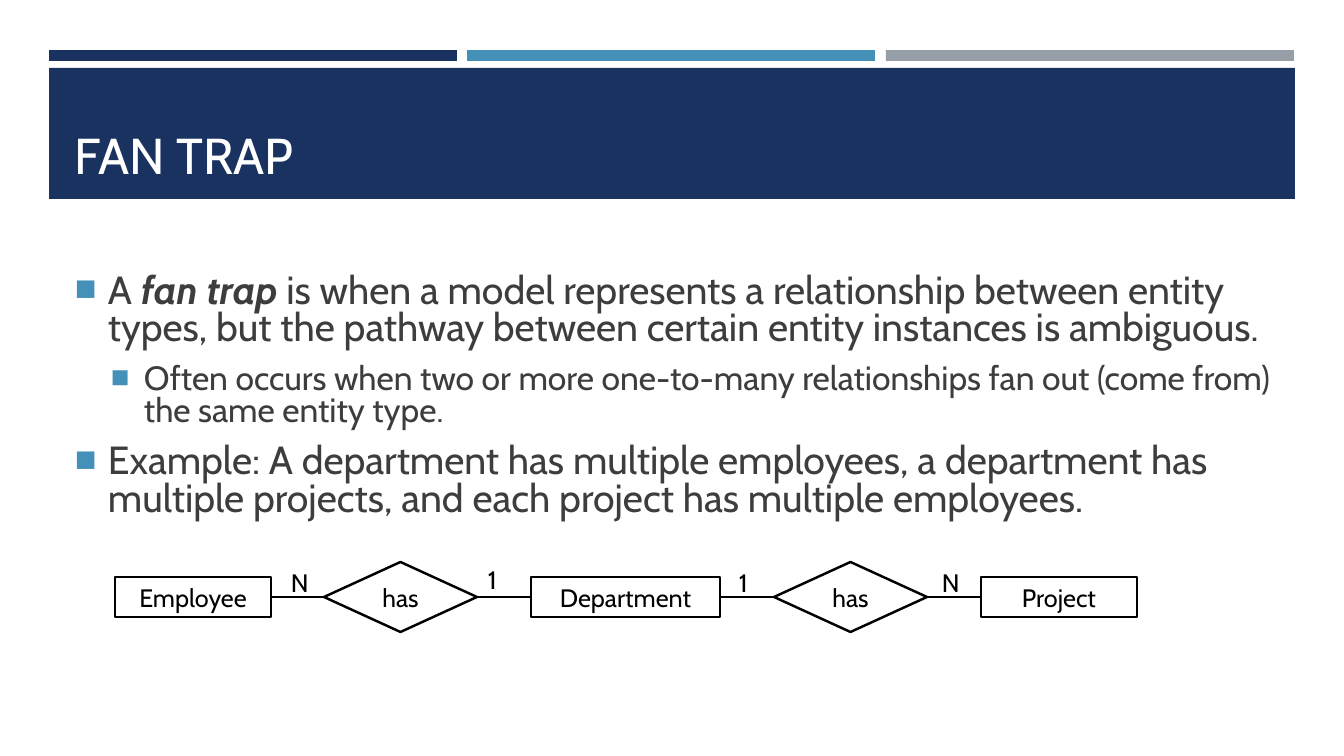
import dataclasses

import lxml.etree
import pptx
import pptx.dml.color
import pptx.enum.shapes
import pptx.enum.text
import pptx.oxml.ns
import pptx.util

EMU_PER_PIXEL = 914400 / 100.8
SHAPES = pptx.enum.shapes.MSO_SHAPE
ALIGN = pptx.enum.text.PP_ALIGN
ANCHOR = pptx.enum.text.MSO_ANCHOR


@dataclasses.dataclass(frozen=True)
class Theme:
    """Colours, font and type sizes of the slide."""
    navy: str = "1A3260"
    blue: str = "4590B8"
    gray: str = "969FA7"
    white: str = "FFFFFF"
    black: str = "000000"
    body: str = "3D3D3D"
    font: str = "Cabin"
    title_size: int = 36
    body_sizes: tuple = (28, 24)
    diagram_size: int = 18
    outline: float = 1.75
    connector: float = 1


def px(pixels):
    """Turn pixels into EMU."""
    return pptx.util.Emu(round(pixels * EMU_PER_PIXEL))


def rgb(colour):
    """Turn a hex string into a colour."""
    return pptx.dml.color.RGBColor.from_string(colour)


def add_child(parent, tag, **attributes):
    """Append a DrawingML element to a parent element."""
    return lxml.etree.SubElement(parent, pptx.oxml.ns.qn(tag), attributes)


class SlideBuilder:
    """Draws styled elements on one slide."""

    def __init__(self, slide, theme):
        """Keep the slide and its theme."""
        self.slide = slide
        self.theme = theme

    def run(self, paragraph, text, size, colour, emphasis=False):
        """Add one styled run to a paragraph."""
        run = paragraph.add_run()
        run.text = text
        run.font.name = self.theme.font
        run.font.size = pptx.util.Pt(size)
        run.font.color.rgb = rgb(colour)
        run.font.bold = run.font.italic = emphasis

    def shape(self, kind, left, top, width, height, fill, text=None):
        """Add a plain block, or an outlined diagram shape when text is given."""
        shape = self.slide.shapes.add_shape(
            kind, px(left), px(top), px(width), px(height))
        shape.shadow.inherit = False
        shape.fill.solid()
        shape.fill.fore_color.rgb = rgb(fill)
        if text is None:
            shape.line.fill.background()
            return
        shape.line.color.rgb = rgb(self.theme.black)
        shape.line.width = pptx.util.Pt(self.theme.outline)
        shape.text_frame.vertical_anchor = ANCHOR.MIDDLE
        paragraph = shape.text_frame.paragraphs[0]
        paragraph.alignment = ALIGN.CENTER
        self.run(paragraph, text, self.theme.diagram_size, self.theme.black)

    def text_frame(self, left, top, width, height, anchor=ANCHOR.TOP, wrap=True):
        """Add a text box and return its frame."""
        box = self.slide.shapes.add_textbox(
            px(left), px(top), px(width), px(height))
        box.text_frame.word_wrap = wrap
        box.text_frame.vertical_anchor = anchor
        return box.text_frame

    def title(self, text, left, top, width, height):
        """Add the slide title, resting on the bottom of its box."""
        frame = self.text_frame(left, top, width, height, ANCHOR.BOTTOM)
        self.run(frame.paragraphs[0], text, self.theme.title_size, self.theme.white)

    def bullet(self, paragraph, level):
        """Give a paragraph its indent and square bullet."""
        paragraph.level = level
        properties = paragraph._p.get_or_add_pPr()
        properties.set("marL", str(px(33 + 36 * level)))
        properties.set("indent", str(px(-33)))
        colour = add_child(properties, "a:buClr")
        add_child(colour, "a:srgbClr", val=self.theme.blue)
        add_child(properties, "a:buSzPct", val="92000")
        add_child(properties, "a:buFont", typeface="Arial")
        add_child(properties, "a:buChar", char="■")

    def bullets(self, items, left, top, width, height, inset):
        """Add the list; each item is a level and its (text, emphasis) runs."""
        frame = self.text_frame(left, top, width, height)
        frame.margin_top = px(inset)
        for index, (level, runs) in enumerate(items):
            paragraph = frame.add_paragraph() if index else frame.paragraphs[0]
            paragraph.line_spacing = 0.8
            paragraph.space_before = pptx.util.Pt(5 if index else 0)
            paragraph.space_after = pptx.util.Pt(6)
            self.bullet(paragraph, level)
            for text, emphasis in runs:
                self.run(paragraph, text, self.theme.body_sizes[level],
                         self.theme.body, emphasis)

    def label(self, text, left, top, width, height):
        """Add a cardinality label."""
        frame = self.text_frame(left, top, width, height, wrap=False)
        self.run(frame.paragraphs[0], text, self.theme.diagram_size, self.theme.black)

    def connector(self, start, end, y):
        """Add a horizontal connecting line."""
        line = self.slide.shapes.add_connector(
            pptx.enum.shapes.MSO_CONNECTOR.STRAIGHT,
            px(start), px(y), px(end), px(y))
        line.line.color.rgb = rgb(self.theme.black)
        line.line.width = pptx.util.Pt(self.theme.connector)
        add_child(line._element.spPr, "a:effectLst")


def draw_header(builder):
    """Draw the three accent bars, the banner and the title."""
    theme = builder.theme
    for index, colour in enumerate((theme.navy, theme.blue, theme.gray)):
        builder.shape(SHAPES.RECTANGLE, 49 + 837 * index // 2, 50, 408, 11, colour)
    builder.shape(SHAPES.RECTANGLE, 49, 68, 1246, 131, theme.navy)
    builder.title("FAN TRAP", 65, 78, 1216, 112)


def draw_diagram(builder):
    """Draw entities joined by relationship diamonds and their cardinalities."""
    middle, diamond_width, diamond_height, entity_height = 597, 153, 70, 40
    white = builder.theme.white
    entities = [("Employee", 115, 156), ("Department", 531, 189), ("Project", 981, 156)]
    for (_, left, width), (_, end, _) in zip(entities, entities[1:]):
        start = left + width
        builder.connector(start, end, middle)
        builder.shape(SHAPES.DIAMOND, (start + end - diamond_width) // 2,
                      middle - diamond_height // 2, diamond_width, diamond_height,
                      white, "has")
    for name, left, width in entities:
        builder.shape(SHAPES.RECTANGLE, left, middle - entity_height // 2,
                      width, entity_height, white, name)
    for text, left, top, width in [("N", 281, 562, 40), ("1", 478, 559, 33),
                                   ("1", 729, 562, 33), ("N", 932, 562, 40)]:
        builder.label(text, left, top, width, 40)


def main():
    """Build and save the slide."""
    presentation = pptx.Presentation()
    presentation.slide_width = px(1344)
    presentation.slide_height = px(756)
    slide = presentation.slides.add_slide(presentation.slide_layouts[6])
    builder = SlideBuilder(slide, Theme())
    draw_header(builder)
    builder.bullets([
        (0, [("A ", False), ("fan trap ", True),
             ("is when a model represents a relationship between entity types, "
              "but the pathway between certain entity instances is ambiguous.", False)]),
        (1, [("Often occurs when two or more one-to-many relationships fan out "
              "(come from) the same entity type.", False)]),
        (0, [("Example: A department has multiple employees, a department has "
              "multiple projects, and each project has multiple employees.", False)]),
    ], 65, 240, 1216, 405, inset=34)
    draw_diagram(builder)
    presentation.save("out.pptx")


main()
